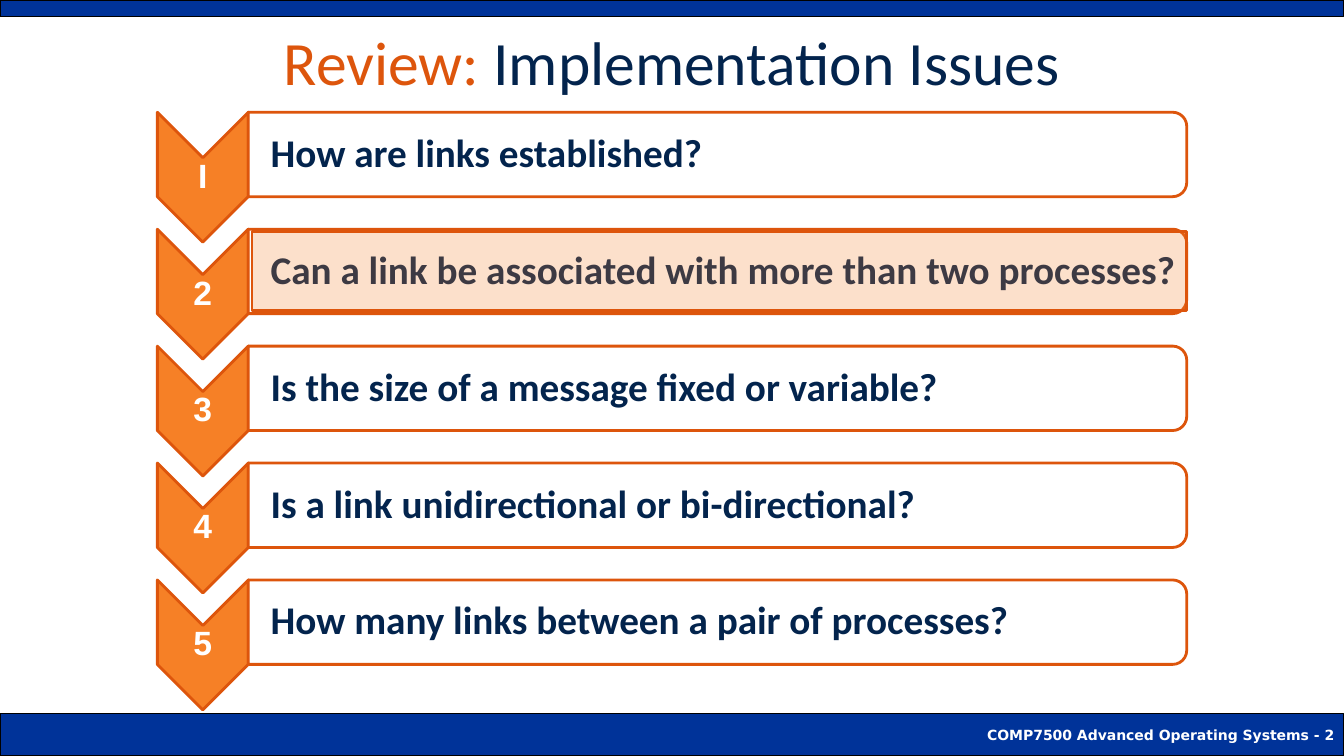
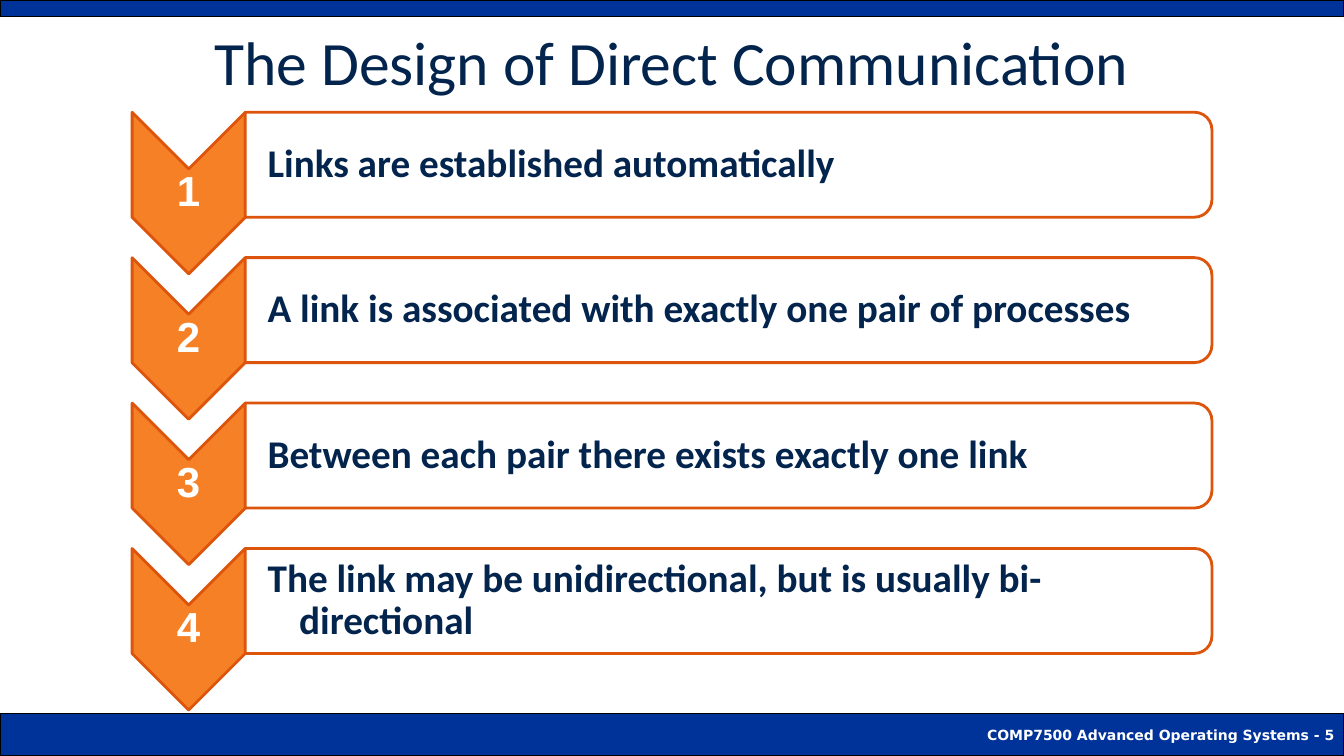
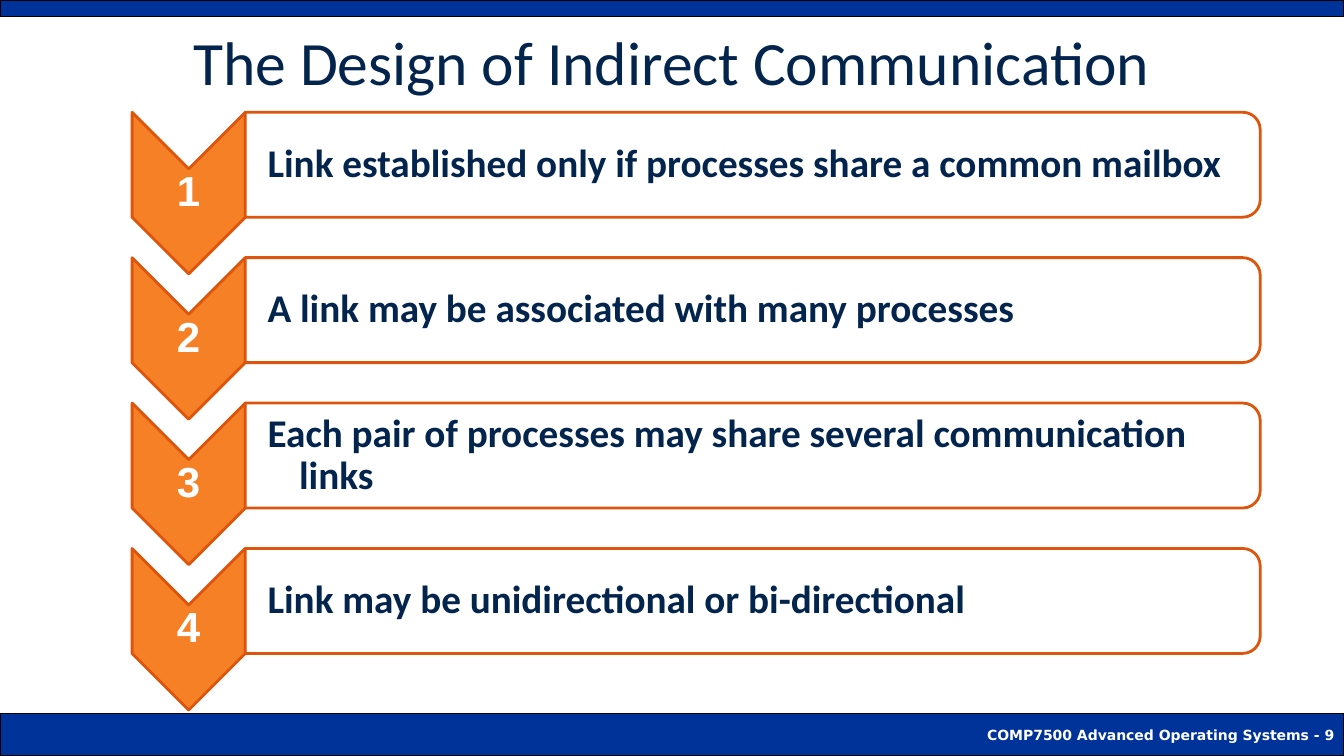
"""Build three slides of numbered chevron lists on links between processes."""
import dataclasses

import lxml.etree
import pptx
import pptx.dml.color
import pptx.enum.shapes
import pptx.enum.text
import pptx.oxml.ns
import pptx.util

Pt = pptx.util.Pt
KIND = pptx.enum.shapes.MSO_SHAPE
ALIGN = pptx.enum.text.PP_ALIGN
MIDDLE = pptx.enum.text.MSO_ANCHOR.MIDDLE
QN = pptx.oxml.ns.qn


@dataclasses.dataclass(frozen=True)
class Theme:
    wide: float = 960
    high: float = 540
    navy: str = "03244D"
    blue: str = "003399"
    orange: str = "F68026"
    rust: str = "DD550C"
    white: str = "FFFFFF"
    black: str = "000000"
    head: str = "Calibri"
    digit: str = "Arial"
    foot: str = "DejaVu Sans"
    head_size: float = 44
    item_size: float = 28
    foot_size: float = 10
    hang: float = 22.5


@dataclasses.dataclass(frozen=True)
class Steps:
    left: float
    high: float
    bar: float
    size: float
    top: float = 80.2

    @property
    def wide(self):
        return 0.7 * self.high

    @property
    def thick(self):
        return 0.65 * self.high

    def row(self, index):
        return self.top + 0.9 * self.high * index


THEME = Theme()


def tint(color):
    return pptx.dml.color.RGBColor.from_string(color)


def style(run, font, size, color, bold=False):
    run.font.name = font
    run.font.size = Pt(size)
    run.font.bold = bold
    run.font.color.rgb = tint(color)


def add_form(slide, kind, box, fill, line, weight, alpha=100):
    form = slide.shapes.add_shape(kind, *map(Pt, box))
    form.shadow.inherit = False
    form.fill.solid()
    form.fill.fore_color.rgb = tint(fill)
    form.line.color.rgb = tint(line)
    form.line.width = Pt(weight)
    if alpha < 100:
        color = form.fill._xPr.find(".//" + QN("a:srgbClr"))
        lxml.etree.SubElement(color, QN("a:alpha")).set("val", str(alpha * 1000))
    return form


def add_turned(slide, kind, box, fill, alpha=100):
    left, top, wide, high = box
    shift = (wide - high) / 2
    frame = (left + shift, top - shift, high, wide)
    form = add_form(slide, kind, frame, fill, THEME.rust, 2, alpha)
    form.rotation = 90


def add_label(slide, box, text, font, size, color, align, inset=1.5, hang=0):
    frame = slide.shapes.add_textbox(*map(Pt, box)).text_frame
    frame.word_wrap = True
    frame.vertical_anchor = MIDDLE
    frame.margin_left = Pt(inset)
    frame.margin_right = frame.margin_top = frame.margin_bottom = Pt(1.5)
    frame.text = text
    line = frame.paragraphs[0]
    line.alignment = align
    line.line_spacing = 0.9
    if hang:
        props = line._p.get_or_add_pPr()
        props.set("marL", str(Pt(hang)))
        props.set("indent", str(-Pt(hang)))
    style(line.runs[0], font, size, color, True)


def add_step(slide, steps, index, mark, text):
    top = steps.row(index)
    add_turned(slide, KIND.CHEVRON,
               (steps.left, top, steps.wide, steps.high), THEME.orange)
    add_label(slide, (steps.left, top + 0.35 * steps.high, steps.wide, 0.3 * steps.high),
              mark, THEME.digit, steps.size, THEME.white, ALIGN.CENTER)
    left = steps.left + steps.wide
    add_turned(slide, KIND.ROUND_2_SAME_RECTANGLE,
               (left, top, steps.bar, steps.thick), THEME.white, 90)
    trim = 0.05 * steps.thick
    add_label(slide, (left, top + trim, steps.bar - trim, steps.thick - 2 * trim),
              text, THEME.head, THEME.item_size, THEME.navy, ALIGN.LEFT, 16, THEME.hang)


def add_title(slide, parts):
    title = slide.shapes.title
    title.left, title.top, title.width, title.height = map(Pt, (24, 1.5, 912, 84))
    frame = title.text_frame
    frame.auto_size = pptx.enum.text.MSO_AUTO_SIZE.NONE
    frame.vertical_anchor = MIDDLE
    line = frame.paragraphs[0]
    line.alignment = ALIGN.CENTER
    for text, color in parts:
        run = line.add_run()
        run.text = text
        style(run, THEME.head, THEME.head_size, color)


def add_bands(slide, number):
    base, _ = [add_form(slide, KIND.RECTANGLE, (0, top, THEME.wide, high),
                        THEME.blue, THEME.black, 0.75)
               for top, high in ((THEME.high - 30.5, 30.5), (0, 12))]
    frame = base.text_frame
    frame.vertical_anchor = MIDDLE
    frame.text = f"COMP7500 Advanced Operating Systems - {number}"
    line = frame.paragraphs[0]
    line.alignment = ALIGN.RIGHT
    style(line.runs[0], THEME.foot, THEME.foot_size, THEME.white, True)


def add_page(deck, number, title, steps, items, first="1"):
    slide = deck.slides.add_slide(deck.slide_layouts[5])
    add_bands(slide, number)
    add_title(slide, title)
    for index, text in enumerate(items):
        mark = str(index + 1) if index else first
        add_step(slide, steps, index, mark, text)
    return slide


def main():
    deck = pptx.Presentation()
    deck.slide_width, deck.slide_height = Pt(THEME.wide), Pt(THEME.high)

    review = add_page(
        deck, 2, [("Review: ", THEME.rust), ("Implementation Issues", THEME.navy)],
        Steps(112.4, 92.8, 670.3, 24),
        ["How are links established?",
         "Can a link be associated with more than two processes?",
         "Is the size of a message fixed or variable?",
         "Is a link unidirectional or bi-directional?",
         "How many links between a pair of processes?"], "I")
    add_form(review, KIND.RECTANGLE, (180, 165.6, 667.5, 56),
             THEME.orange, THEME.rust, 2, 24)

    add_page(
        deck, 5, [("The Design of Direct Communication", THEME.navy)],
        Steps(94.4, 115.4, 690.5, 30),
        ["Links are established automatically",
         "A link is associated with exactly one pair of processes",
         "Between each pair there exists exactly one link",
         "The link may be unidirectional, but is usually bi-directional"])

    add_page(
        deck, 9, [("The Design of Indirect Communication", THEME.navy)],
        Steps(94.4, 115.4, 725, 30),
        ["Link established only if processes share a common mailbox",
         "A link may be associated with many processes",
         "Each pair of processes may share several communication links",
         "Link may be unidirectional or bi-directional"])

    deck.save("out.pptx")


if __name__ == "__main__":
    main()
